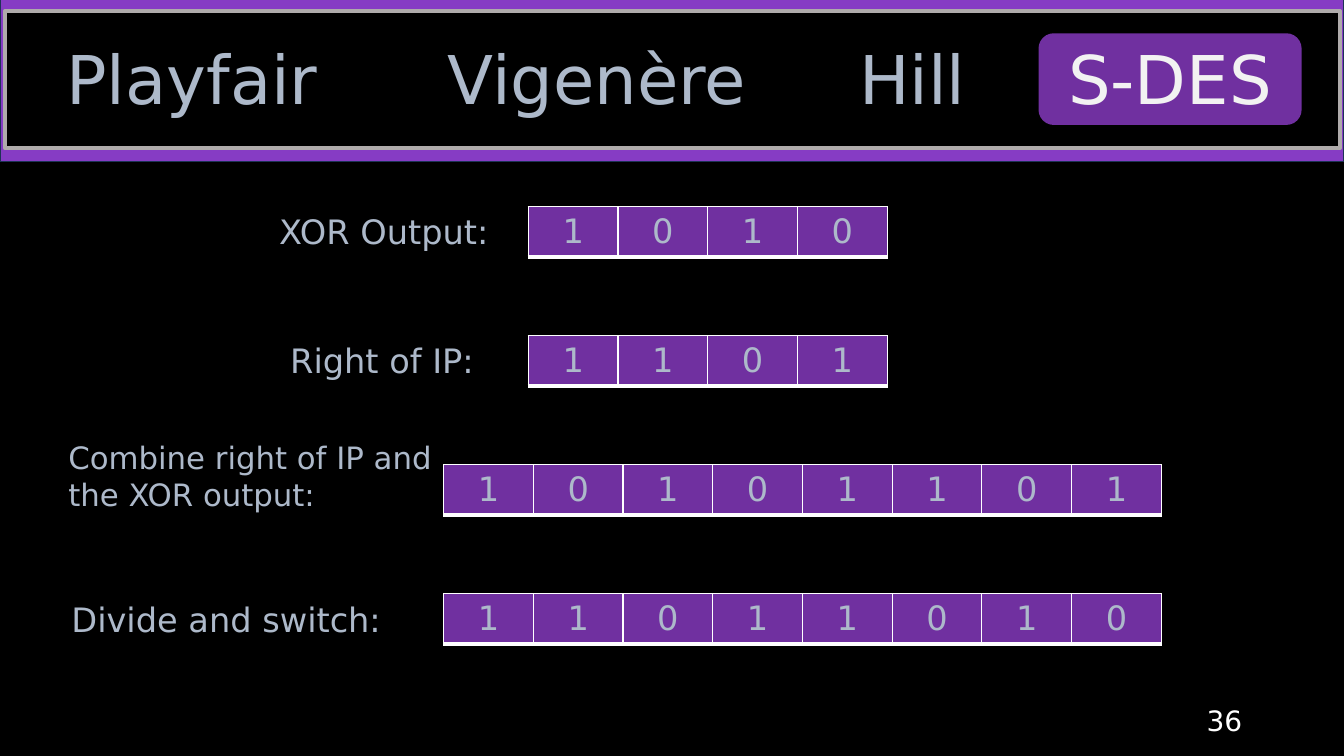
from dataclasses import dataclass
from lxml import etree
from pptx import Presentation
from pptx.dml.color import RGBColor
from pptx.enum.shapes import MSO_SHAPE
from pptx.enum.text import MSO_ANCHOR, PP_ALIGN
from pptx.oxml import parse_xml
from pptx.util import Inches, Pt

RECTANGLE, ROUNDED = MSO_SHAPE.RECTANGLE, MSO_SHAPE.ROUNDED_RECTANGLE
LEFT, CENTER, RIGHT = PP_ALIGN.LEFT, PP_ALIGN.CENTER, PP_ALIGN.RIGHT
TOP, MIDDLE = MSO_ANCHOR.TOP, MSO_ANCHOR.MIDDLE
DRAWING = "http://schemas.openxmlformats.org/drawingml/2006/main"


@dataclass(frozen=True)
class Theme:
    font: str = "DejaVu Sans"
    black: str = "000000"
    white: str = "FFFFFF"
    band: str = "863CC4"
    band_line: str = "1E3256"
    frame_line: str = "AFABAB"
    purple: str = "7030A0"
    muted: str = "ADB9CA"
    bright: str = "F2F2F2"
    tab_size: int = 48
    body_size: int = 24
    small_size: int = 22
    number_size: int = 20


theme = Theme()


def write(frame, text, size, color, align):
    para = frame.paragraphs[0]
    para.alignment = align
    span = para.add_run()
    span.text = text
    formats = {"name": theme.font, "size": Pt(size), "bold": False}
    for name, value in formats.items():
        setattr(span.font, name, value)
    span.font.color.rgb = RGBColor.from_string(color)


def add_label(page, place, text, size, color, align, anchor=TOP):
    box = page.shapes.add_textbox(*map(Inches, place))
    box.text_frame.word_wrap = True
    box.text_frame.vertical_anchor = anchor
    write(box.text_frame, text, size, color, align)


deck = Presentation()
deck.slide_width, deck.slide_height = Inches(13.33), Inches(7.5)
page = deck.slides.add_slide(deck.slide_layouts[6])
page.background.fill.solid()
page.background.fill.fore_color.rgb = RGBColor.from_string(theme.black)

panels = [
    (RECTANGLE, (0, -0.02, 13.33, 1.62), theme.band, theme.band_line, 1),
    (RECTANGLE, (0.05, 0.11, 13.24, 1.36), theme.black, theme.frame_line, 3),
    (ROUNDED, (10.3, 0.33, 2.61, 0.91), theme.purple, None, 0),
]
for kind, place, fill, line, width in panels:
    panel = page.shapes.add_shape(kind, *map(Inches, place))
    panel.shadow.inherit = False
    panel.fill.solid()
    panel.fill.fore_color.rgb = RGBColor.from_string(fill)
    if line:
        panel.line.color.rgb = RGBColor.from_string(line)
        panel.line.width = Pt(width)
    else:
        panel.line.fill.background()

tabs = [
    ("Playfair", 0.24, 3.33, theme.muted),
    ("Vigenère", 4.05, 3.74, theme.muted),
    ("Hill", 8.27, 1.56, theme.muted),
    ("S-DES", 10.3, 2.61, theme.bright),
]
for text, left, width, color in tabs:
    add_label(page, (left, 0.32, width, 0.91), text, theme.tab_size, color, CENTER)

first_row, row_step, cell_width, cell_height = 2.05, 1.28, 0.89, 0.5
borders = {"lnL": 1, "lnR": 1, "lnT": 1, "lnB": 3}
steps = [
    ("XOR Output:", (2.67, 2.04, 3.19, 0.5), theme.body_size, 5.24, "1010"),
    ("Right of IP:", (2.78, 3.32, 3.19, 0.5), theme.body_size, 5.24, "1101"),
    ("Combine right of IP and the XOR output:", (0.58, 4.3, 3.91, 0.84),
     theme.small_size, 4.4, "10101101"),
    ("Divide and switch:", (0.61, 5.89, 4.18, 0.5), theme.body_size, 4.4, "11011010"),
]
for index, (label, place, size, left, bits) in enumerate(steps):
    add_label(page, place, label, size, theme.muted, LEFT)
    table = page.shapes.add_table(
        1, len(bits), Inches(left), Inches(first_row + index * row_step),
        Inches(cell_width * len(bits)), Inches(cell_height)).table
    table.first_row = table.horz_banding = False
    for column, bit in enumerate(bits):
        table.columns[column].width = Inches(cell_width)
        cell = table.cell(0, column)
        cell.vertical_anchor = MIDDLE
        write(cell.text_frame, bit, theme.body_size, theme.muted, CENTER)
        properties = cell._tc.get_or_add_tcPr()
        for edge, points in borders.items():
            border = parse_xml(f'<a:{edge} xmlns:a="{DRAWING}" w="{Pt(points)}"/>')
            solid = etree.SubElement(border, f"{{{DRAWING}}}solidFill")
            etree.SubElement(solid, f"{{{DRAWING}}}srgbClr", val=theme.white)
            properties.append(border)
        cell.fill.solid()
        cell.fill.fore_color.rgb = RGBColor.from_string(theme.purple)

add_label(page, (9.42, 6.95, 3, 0.4), "36", theme.number_size, theme.white, RIGHT, MIDDLE)

deck.save("out.pptx")
